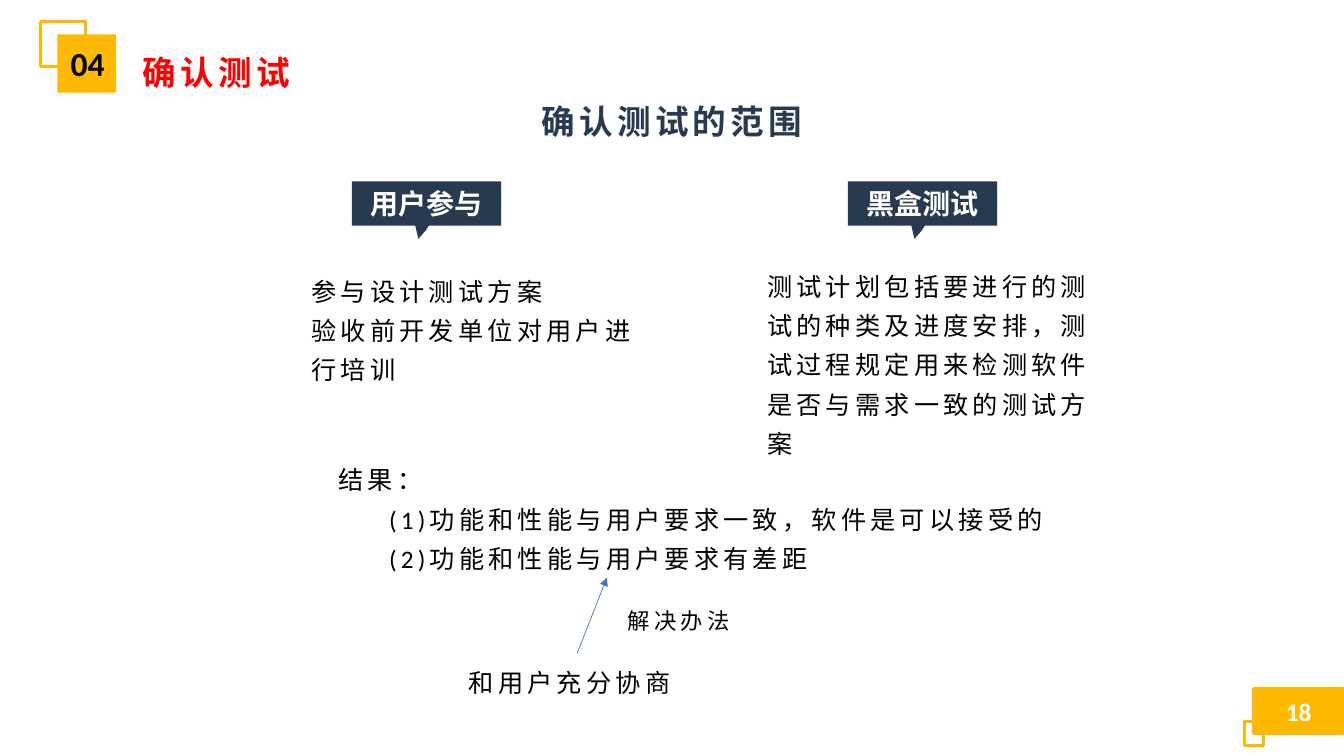
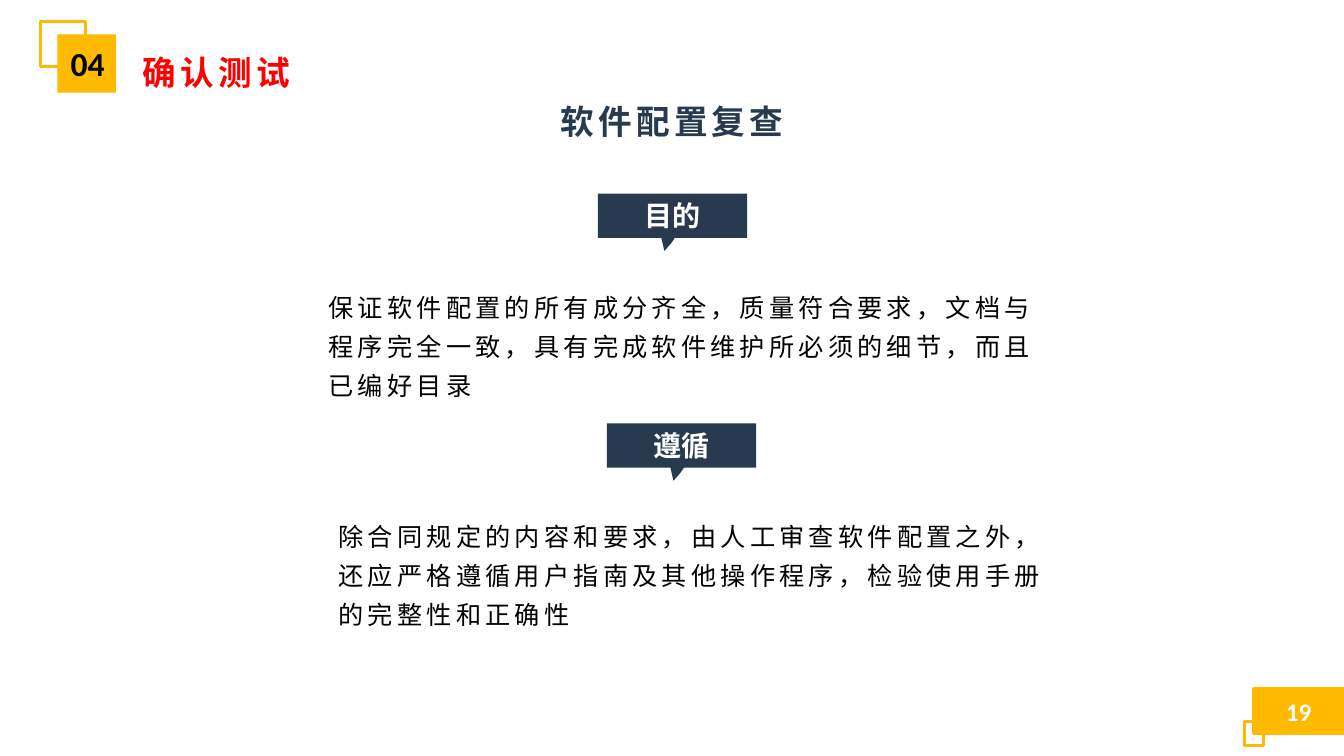
from lxml.etree import SubElement
from pptx import Presentation
from pptx.dml.color import RGBColor
from pptx.enum.shapes import MSO_CONNECTOR, MSO_SHAPE
from pptx.enum.text import MSO_ANCHOR, MSO_AUTO_SIZE, PP_ALIGN
from pptx.oxml.ns import qn
from pptx.util import Inches, Pt

AMBER, NAVY, RED, BLUE = "FFB901", "273A4F", "FF0000", "4472C4"
BLACK, WHITE = "000000", "FFFFFF"
FONT = "Calibri"
PAGE_WIDTH = 13.33


def color(value):
    return RGBColor.from_string(value)


class Deck:
    def __init__(self):
        self.presentation = Presentation()
        self.presentation.slide_width = Inches(PAGE_WIDTH)
        self.presentation.slide_height = Inches(7.5)
        self.slide = None

    def new_slide(self, number, heading):
        layout = self.presentation.slide_layouts[6]
        self.slide = self.presentation.slides.add_slide(layout)
        self.text(1.32, 0.35, 1.93, 0.57, ["确认测试"], size=24, ink=RED, bold=True)
        self.rectangle(0.4, 0.21, 0.45, 0.45, line=AMBER)
        self.rectangle(0.57, 0.34, 0.58, 0.58, fill=AMBER)
        self.heading(0.56, 0.38, 0.62, "04", BLACK, spacing=0)
        page = self.rectangle(12.43, 6.83, 0.9, 0.45, fill=AMBER, line=AMBER)
        self.label(page, str(number), 18)
        self.rectangle(12.34, 7.16, 0.19, 0.24, line=AMBER)
        width = 2.85
        self.heading((PAGE_WIDTH - width) / 2, 0.95, width, heading, NAVY)

    def style(self, paragraph, size, ink, bold=False, spacing=0):
        for run in paragraph.runs:
            run.font.name = FONT
            run.font.size = Pt(size)
            run.font.bold = bold
            run.font.color.rgb = color(ink)
            if spacing:
                run.font._element.set("spc", str(spacing * 100))

    def rectangle(self, left, top, width, height, fill=None, line=None):
        shape = self.slide.shapes.add_shape(
            MSO_SHAPE.RECTANGLE, Inches(left), Inches(top), Inches(width), Inches(height))
        self.paint(shape, fill, line)
        return shape

    def paint(self, shape, fill=None, line=None):
        shape.shadow.inherit = False
        if fill:
            shape.fill.solid()
            shape.fill.fore_color.rgb = color(fill)
        else:
            shape.fill.background()
        if line:
            shape.line.color.rgb = color(line)
            shape.line.width = Pt(2.25)
        else:
            shape.line.fill.background()

    def label(self, shape, words, size):
        frame = shape.text_frame
        frame.text = words
        frame.vertical_anchor = MSO_ANCHOR.MIDDLE
        frame.paragraphs[0].alignment = PP_ALIGN.CENTER
        self.style(frame.paragraphs[0], size, WHITE, bold=True)

    def box(self, left, top, width, height, lines, wrap):
        box = self.slide.shapes.add_textbox(
            Inches(left), Inches(top), Inches(width), Inches(height))
        box.text_frame.text = "\n".join(lines)
        box.text_frame.word_wrap = wrap
        box.text_frame.auto_size = MSO_AUTO_SIZE.SHAPE_TO_FIT_TEXT
        return box

    def heading(self, left, top, width, words, ink, spacing=3):
        box = self.box(left, top, width, 0.5, [words], wrap=False)
        paragraph = box.text_frame.paragraphs[0]
        paragraph.alignment = PP_ALIGN.CENTER
        self.style(paragraph, 24, ink, bold=True, spacing=spacing)

    def text(self, left, top, width, height, lines, size=18, ink=BLACK,
             bold=False, indent=0):
        box = self.box(left, top, width, height, lines, wrap=True)
        for position, paragraph in enumerate(box.text_frame.paragraphs):
            if indent and position:
                paragraph._p.get_or_add_pPr().set("marL", str(Inches(indent)))
            paragraph.line_spacing = 1.3
            self.style(paragraph, size, ink, bold, spacing=3)
        return box

    def callout(self, left, top, words):
        tag = self.rectangle(left, top, 1.48, 0.44, fill=NAVY)
        self.label(tag, words, 20)
        outline = [(0.62, 0.4), (0.66, 0.57), (0.73, 0.49), (0.79, 0.4)]
        points = [(Inches(left + x), Inches(top + y)) for x, y in outline]
        pointer = self.slide.shapes.build_freeform(*points[0])
        pointer.add_line_segments(points[1:], close=True)
        self.paint(pointer.convert_to_shape(), NAVY)

    def arrow_from_top(self, source, x, y):
        arrow = self.slide.shapes.add_connector(
            MSO_CONNECTOR.STRAIGHT, source.left, source.top, Inches(x), Inches(y))
        arrow.begin_connect(source, 0)
        arrow.line.color.rgb = color(BLUE)
        arrow.line.width = Pt(0.5)
        SubElement(arrow.line._get_or_add_ln(), qn("a:tailEnd"), type="triangle")
        SubElement(arrow._element.spPr, qn("a:effectLst"))


def scope_slide(deck):
    deck.new_slide(18, "确认测试的范围")
    deck.callout(3.49, 1.8, "用户参与")
    deck.callout(8.41, 1.8, "黑盒测试")
    deck.text(3.26, 4.47, 7.48, 1.24, [
        "结果：",
        "(1)功能和性能与用户要求一致，软件是可以接受的",
        "(2)功能和性能与用户要求有差距",
    ], indent=0.5)
    negotiation = deck.text(4.55, 6.48, 2.35, 0.46, ["和用户充分协商"])
    deck.arrow_from_top(negotiation, 6.02, 5.73)
    deck.text(6.13, 5.89, 1.38, 0.42, ["解决办法"], size=16)
    deck.text(2.99, 2.6, 3.44, 1.24, ["参与设计测试方案", "验收前开发单位对用户进行培训"])
    deck.text(7.51, 2.55, 3.44, 2.03, [
        "测试计划包括要进行的测试的种类及进度安排，测试过程规定用来检测软件是否与需求一致的测试方案"])


def review_slide(deck):
    deck.new_slide(19, "软件配置复查")
    sections = [
        (5.93, 1.92, "目的", 3.16, 2.76,
         "保证软件配置的所有成分齐全，质量符合要求，文档与程序完全一致，具有完成软件维护所必须的细节，而且已编好目录"),
        (6.02, 4.2, "遵循", 3.26, 5.03,
         "除合同规定的内容和要求，由人工审查软件配置之外，还应严格遵循用户指南及其他操作程序，检验使用手册的完整性和正确性"),
    ]
    for tag_left, tag_top, name, left, top, explanation in sections:
        deck.callout(tag_left, tag_top, name)
        deck.text(left, top, 7.48, 1.24, [explanation])


def main():
    deck = Deck()
    scope_slide(deck)
    review_slide(deck)
    deck.presentation.save("out.pptx")


if __name__ == "__main__":
    main()
